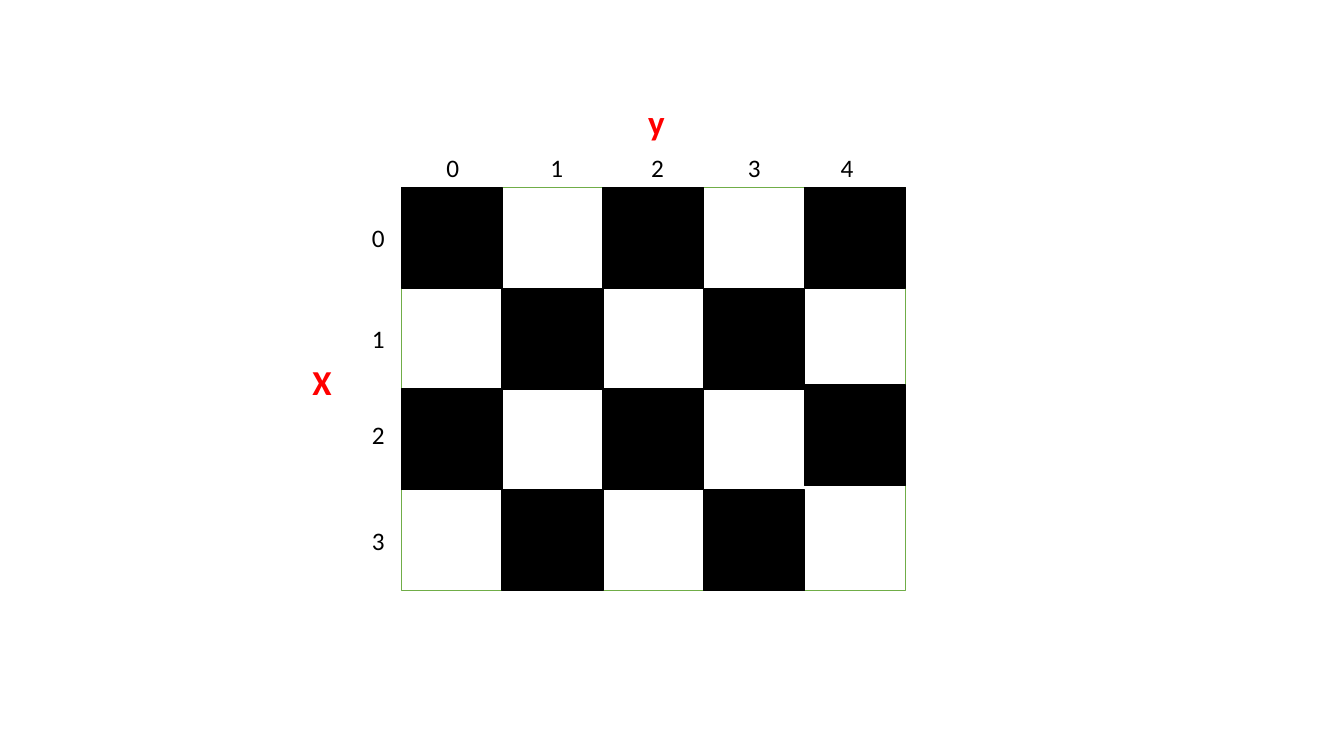
import pptx
import pptx.util
import pptx.dml.color
import pptx.enum.shapes
import pptx.enum.text

Inches = pptx.util.Inches
RGBColor = pptx.dml.color.RGBColor

BLACK = RGBColor(0x00, 0x00, 0x00)
WHITE = RGBColor(0xFF, 0xFF, 0xFF)
GREEN = RGBColor(0x70, 0xAD, 0x47)
RED = RGBColor(0xFF, 0x00, 0x00)

ROWS, COLS = 4, 5
LEFT, TOP = 3.98, 1.86


class Board:
    """Style and current slide."""
    font = "Calibri"
    label_width = 1.05

    def __init__(self, slide):
        self.slide = slide

    def rect(self, x, y, w, h, fill, line):
        s = self.slide.shapes.add_shape(
            pptx.enum.shapes.MSO_SHAPE.RECTANGLE,
            Inches(x), Inches(y), Inches(w), Inches(h))
        s.shadow.inherit = False
        s.fill.solid()
        s.fill.fore_color.rgb = fill
        s.line.color.rgb = line
        s.line.width = pptx.util.Pt(1)

    def label(self, text, x, y, h=0.4, size=18, color=BLACK, bold=False):
        s = self.slide.shapes.add_textbox(
            Inches(x), Inches(y), Inches(self.label_width), Inches(h))
        tf = s.text_frame
        tf.word_wrap = True
        tf.auto_size = pptx.enum.text.MSO_AUTO_SIZE.SHAPE_TO_FIT_TEXT
        p = tf.paragraphs[0]
        p.text = text
        p.font.name = self.font
        p.font.size = pptx.util.Pt(size)
        p.font.color.rgb = color
        p.font.bold = bold

    def axis(self, text, x, y):
        self.label(text, x, y, h=0.52, size=25, color=RED, bold=True)


prs = pptx.Presentation()
prs.slide_width, prs.slide_height = Inches(13.33), Inches(7.5)
board = Board(prs.slides.add_slide(prs.slide_layouts[6]))

# Checkerboard: one-inch squares, black where row + column is even
board.rect(LEFT, TOP, COLS, ROWS, WHITE, GREEN)
for row in range(ROWS):
    for col in range(row % 2, COLS, 2):
        # The last square of row 2 sits slightly higher
        lift = 0.04 if (row, col) == (2, 4) else 0
        board.rect(LEFT + col, TOP + row - lift, 1, 1, BLACK, BLACK)

# Column and row numbers, placed by hand
for col, x in enumerate((4.33, 5.36, 6.36, 7.32, 8.24)):
    board.label(str(col), x, 1.46)
for row, y in enumerate((2.16, 3.16, 4.11, 5.16)):
    board.label(str(row), 3.59, y)

# Axis names
board.axis("X", 3, 3.53)
board.axis("y", 6.33, 0.95)

prs.save("out.pptx")
